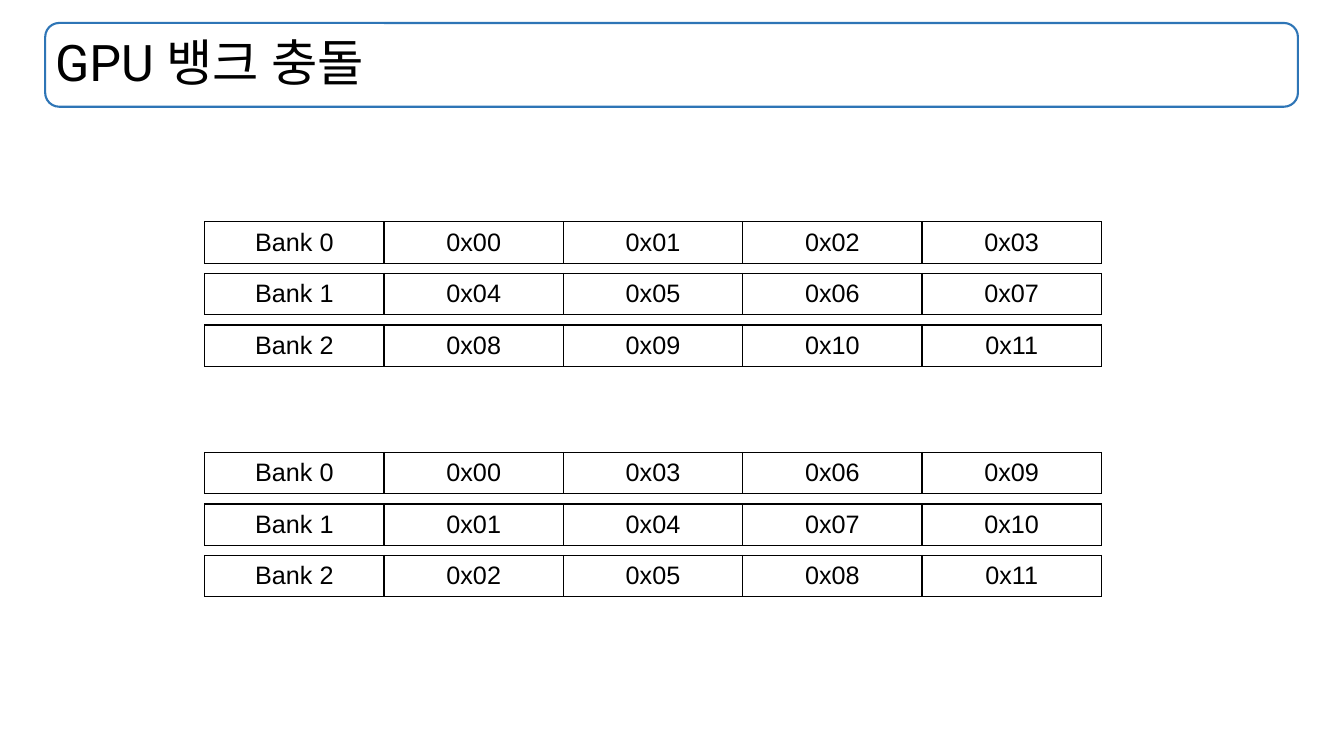
from dataclasses import dataclass

from lxml import etree
from pptx import Presentation
from pptx.dml.color import RGBColor
from pptx.enum.shapes import MSO_SHAPE
from pptx.enum.text import MSO_ANCHOR, PP_ALIGN
from pptx.oxml import parse_xml
from pptx.oxml.ns import qn
from pptx.util import Cm, Pt

ROUNDED = MSO_SHAPE.ROUNDED_RECTANGLE
MIDDLE = MSO_ANCHOR.MIDDLE
LEFT, CENTER = PP_ALIGN.LEFT, PP_ALIGN.CENTER
DRAWING_NS = "http://schemas.openxmlformats.org/drawingml/2006/main"

BANKS = 3
WORDS_PER_BANK = 4
TITLE_AREA = (1.14, 0.58, 31.57, 2.11)
TABLE_LEFT, COLUMN_WIDTH, ROW_HEIGHT, ROW_PITCH = 5.16, 4.52, 1.04, 1.3
GROUP_TOPS = {"blocked": 5.59, "interleaved": 11.4}


@dataclass(frozen=True)
class Theme:
    ink: str = "000000"
    paper: str = "FFFFFF"
    accent: str = "2E75B6"
    title_font: str = "Roboto"
    cell_font: str = "Arial"
    title_size: int = 36
    cell_size: int = 18
    frame_width: float = 1.5
    border_width: float = 1


class SlideBuilder:
    """Draw styled elements on the current slide."""

    def __init__(self, slide, theme):
        self.slide = slide
        self.theme = theme

    def add_span(self, para, text, font, size, align):
        para.alignment = align
        span = para.add_run()
        span.text = text
        formats = {"name": font, "size": Pt(size)}
        for name, value in formats.items():
            setattr(span.font, name, value)
        span.font.color.rgb = RGBColor.from_string(self.theme.ink)
        return span

    def frame(self, area):
        shape = self.slide.shapes.add_shape(ROUNDED, *map(Cm, area))
        shape.shadow.inherit = False
        shape.fill.background()
        shape.line.color.rgb = RGBColor.from_string(self.theme.accent)
        shape.line.width = Pt(self.theme.frame_width)

    def title(self, text, area):
        box = self.slide.shapes.add_textbox(*map(Cm, area)).text_frame
        formats = {"word_wrap": True, "vertical_anchor": MIDDLE}
        for name, value in formats.items():
            setattr(box, name, value)
        para = box.paragraphs[0]
        para.line_spacing = 0.9
        span = self.add_span(para, text, self.theme.title_font, self.theme.title_size, LEFT)
        east_asian = etree.SubElement(span.font._element, qn("a:ea"))
        east_asian.set("typeface", self.theme.title_font)

    def border(self, cell):
        properties = cell._tc.get_or_add_tcPr()
        for side in "LRTB":
            properties.append(parse_xml(
                f'<a:ln{side} xmlns:a="{DRAWING_NS}" w="{Pt(self.theme.border_width)}">'
                f'<a:solidFill><a:srgbClr val="{self.theme.ink}"/></a:solidFill>'
                f'</a:ln{side}>'))

    def row_table(self, values, top):
        width = COLUMN_WIDTH * len(values)
        area = (TABLE_LEFT, top, width, ROW_HEIGHT)
        table = self.slide.shapes.add_table(1, len(values), *map(Cm, area)).table
        table.first_row = table.horz_banding = False
        for column, cell, value in zip(table.columns, table.rows[0].cells, values):
            column.width = Cm(COLUMN_WIDTH)
            self.border(cell)
            cell.fill.solid()
            cell.fill.fore_color.rgb = RGBColor.from_string(self.theme.paper)
            cell.vertical_anchor = MIDDLE
            para = cell.text_frame.paragraphs[0]
            self.add_span(para, value, self.theme.cell_font, self.theme.cell_size, CENTER)


def bank_row(layout, bank):
    if layout == "blocked":
        addresses = [bank * WORDS_PER_BANK + word for word in range(WORDS_PER_BANK)]
    else:
        addresses = [word * BANKS + bank for word in range(WORDS_PER_BANK)]
    return [f"Bank {bank}"] + [f"0x{address:02d}" for address in addresses]


def main():
    deck = Presentation()
    deck.slide_width, deck.slide_height = Cm(33.87), Cm(19.05)
    page = SlideBuilder(deck.slides.add_slide(deck.slide_layouts[6]), Theme())
    page.frame(TITLE_AREA)
    page.title("GPU 뱅크 충돌", TITLE_AREA)
    for layout, top in GROUP_TOPS.items():
        for bank in range(BANKS):
            page.row_table(bank_row(layout, bank), top + bank * ROW_PITCH)
    deck.save("out.pptx")


if __name__ == "__main__":
    main()
